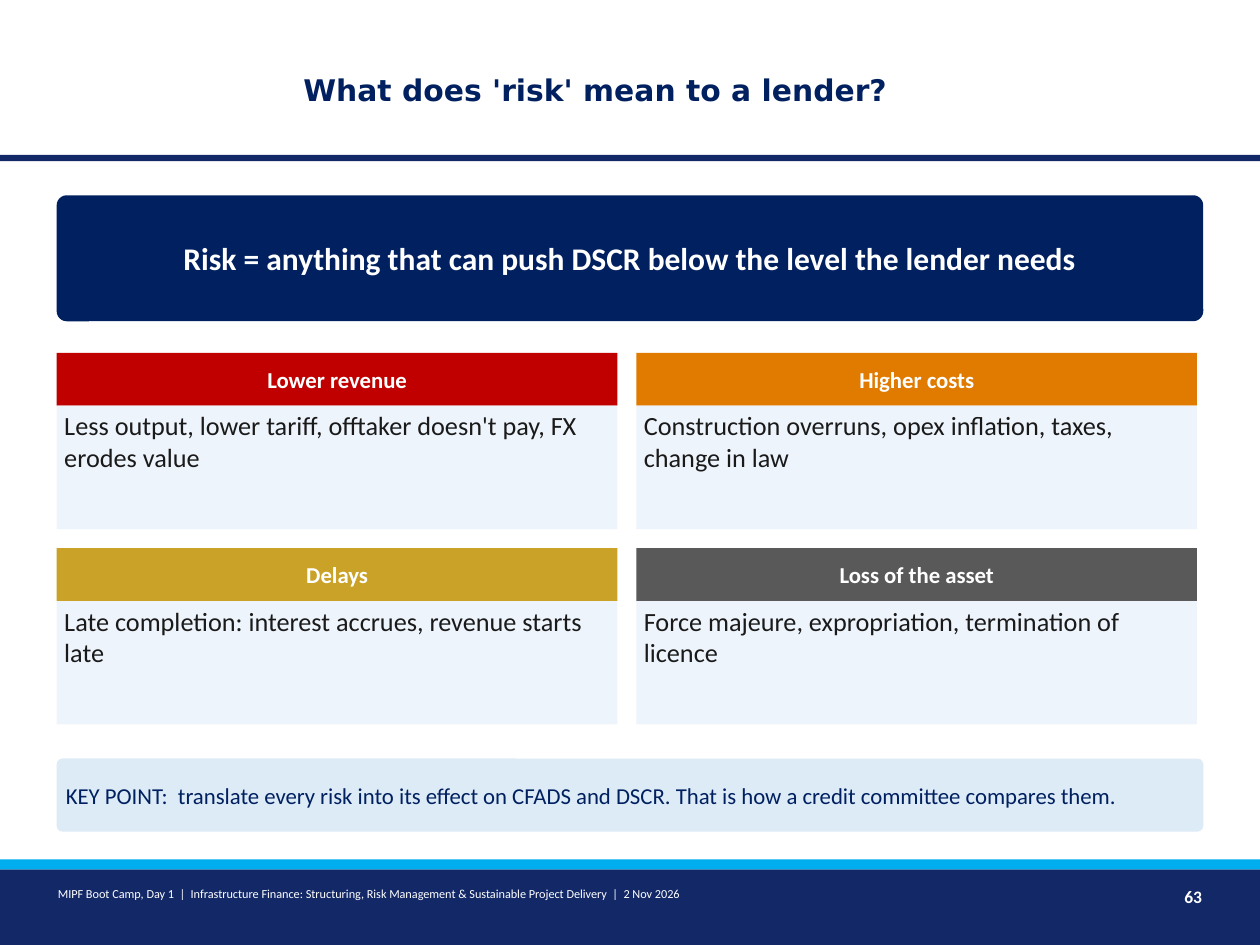
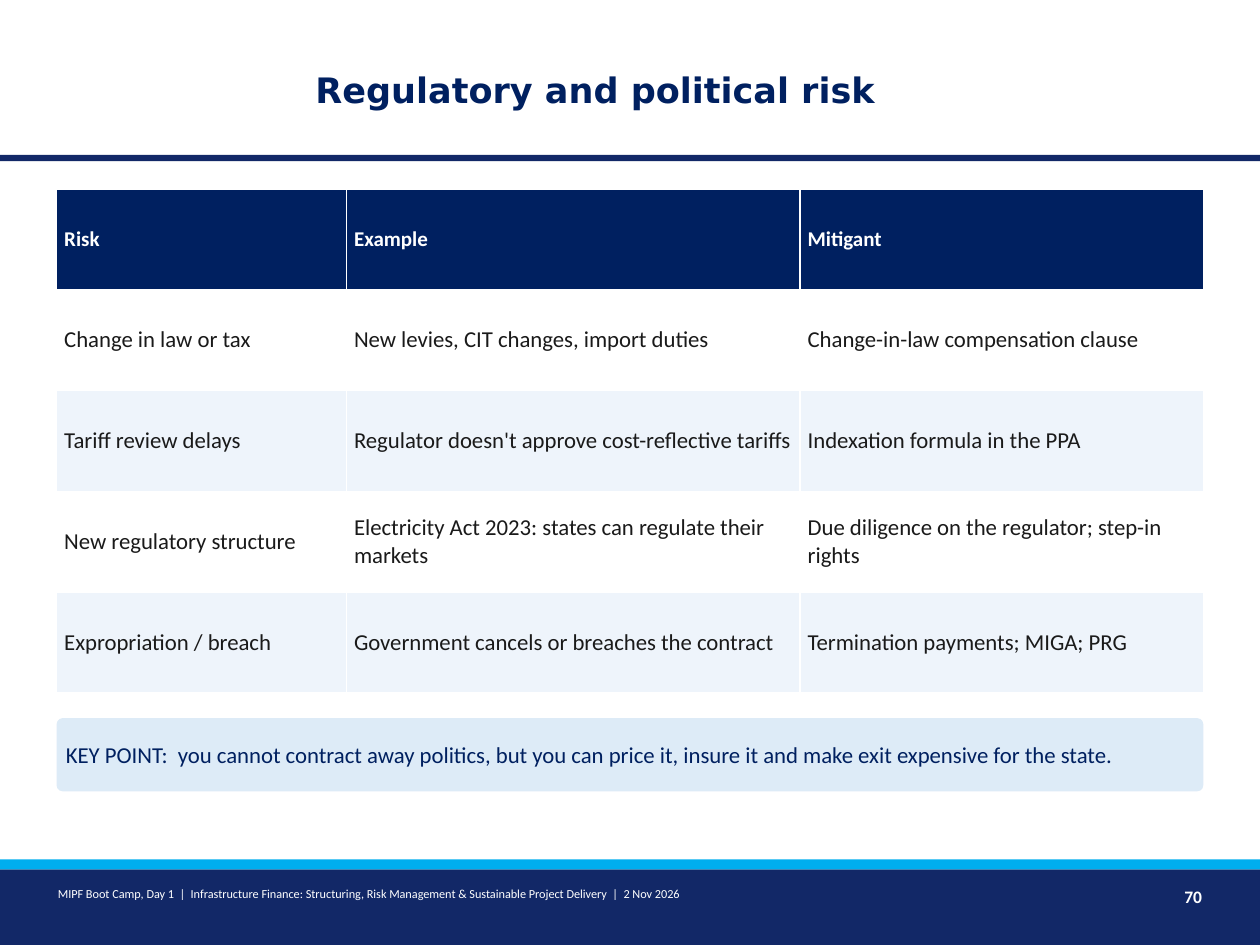
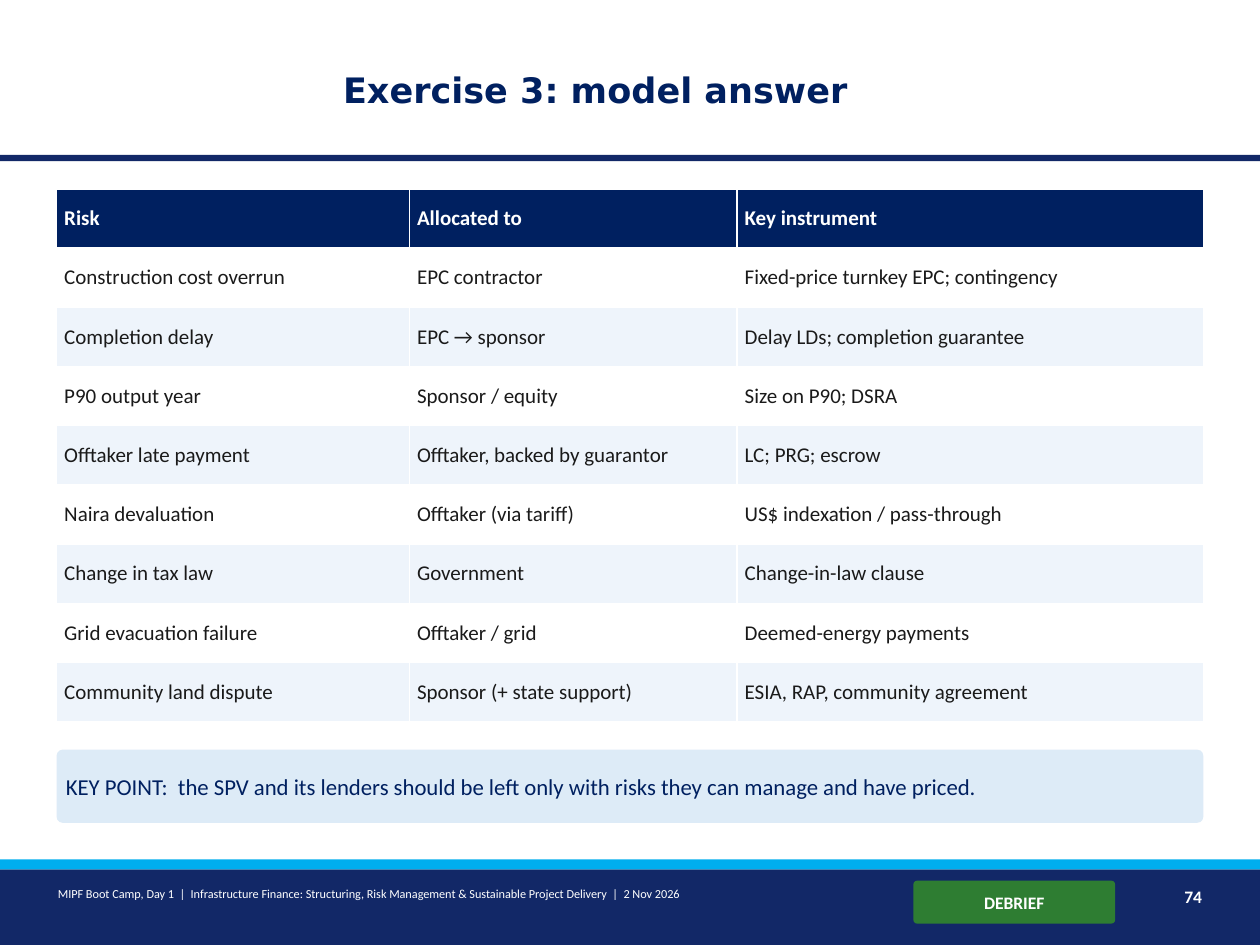
from pptx import Presentation
from pptx.dml.color import RGBColor
from pptx.enum import shapes, text
from pptx.util import Inches, Pt

WIDTH, HEIGHT = 10, 7.5
LEFT, CONTENT_WIDTH = 0.45, 9.1
NAVY, BAND, CYAN, WHITE = "002060", "122867", "00AEEF", "FFFFFF"
PALE, KEY_FILL, INK, GREEN = "EEF4FB", "DDEBF7", "1A1A1A", "2E7D32"
FOOTER = ("MIPF Boot Camp, Day 1  |  Infrastructure Finance: Structuring, "
          "Risk Management & Sustainable Project Delivery  |  2 Nov 2026")
RECTANGLE = shapes.MSO_SHAPE.RECTANGLE
ROUNDED = shapes.MSO_SHAPE.ROUNDED_RECTANGLE
LEFT_ALIGN, CENTER, RIGHT = text.PP_ALIGN.LEFT, text.PP_ALIGN.CENTER, text.PP_ALIGN.RIGHT
TOP, MIDDLE = text.MSO_ANCHOR.TOP, text.MSO_ANCHOR.MIDDLE


def write(frame, content, cell=None, size=13, color=WHITE, bold=False,
          align=LEFT_ALIGN, anchor=MIDDLE, font="Calibri"):
    """Fill a text frame; a table cell carries its own margins and anchor."""
    holder = cell or frame
    holder.margin_left = holder.margin_right = Inches(0.06)
    holder.margin_top = holder.margin_bottom = Inches(0.03)
    holder.vertical_anchor = anchor
    frame.word_wrap = True
    paragraph = frame.paragraphs[0]
    paragraph.alignment = align
    run = paragraph.add_run()
    run.text = content
    run.font.name, run.font.size, run.font.bold = font, Pt(size), bold
    run.font.color.rgb = RGBColor.from_string(color)


def add_box(slide, left, top, width, height, fill=None, kind=RECTANGLE, content="", **style):
    """Add a filled shape, or a plain text box when there is no fill."""
    place = [Inches(length) for length in (left, top, width, height)]
    if fill:
        shape = slide.shapes.add_shape(kind, *place)
        shape.shadow.inherit = False
        shape.fill.solid()
        shape.fill.fore_color.rgb = RGBColor.from_string(fill)
        shape.line.fill.background()
        if kind == ROUNDED:
            shape.adjustments[0] = 0.08
    else:
        shape = slide.shapes.add_textbox(*place)
    if content:
        write(shape.text_frame, content, **style)


presentation = Presentation()
presentation.slide_width, presentation.slide_height = Inches(WIDTH), Inches(HEIGHT)

# Title, bands, footer and key point of every slide
pages = [
    ("What does 'risk' mean to a lender?", 17, "63", 6.02,
     "translate every risk into its effect on CFADS and DSCR. "
     "That is how a credit committee compares them."),
    ("Regulatory and political risk", 20, "70", 5.7,
     "you cannot contract away politics, but you can price it, insure it "
     "and make exit expensive for the state."),
    ("Exercise 3: model answer", 20, "74", 5.95,
     "the SPV and its lenders should be left only with risks they can manage and have priced."),
]
slides = []
for title, title_size, number, key_top, key_point in pages:
    slide = presentation.slides.add_slide(presentation.slide_layouts[6])
    for top, height, fill in [(1.23, 0.05, BAND), (6.9, 0.6, BAND), (6.82, 0.08, CYAN)]:
        add_box(slide, 0, top, WIDTH, height, fill)
    add_box(slide, 2.3, 0.22, 4.85, 0.98, content=title, size=title_size,
            color=NAVY, bold=True, align=CENTER, font="DejaVu Sans")
    add_box(slide, 0.4, 7, 6.8, 0.35, content=FOOTER, size=7, anchor=TOP)
    add_box(slide, 9, 7, 0.6, 0.35, content=number, size=10, bold=True,
            align=RIGHT, anchor=TOP)
    add_box(slide, LEFT, key_top, CONTENT_WIDTH, 0.58, KEY_FILL, ROUNDED,
            "KEY POINT:  " + key_point, color=NAVY)
    slides.append(slide)
risk_slide, regulation_slide, answer_slide = slides

# Definition of risk and its four sources, in a two by two grid
add_box(risk_slide, LEFT, 1.55, CONTENT_WIDTH, 1, NAVY, ROUNDED,
        "Risk = anything that can push DSCR below the level the lender needs",
        size=18, bold=True, align=CENTER)
sources = [
    ("Lower revenue", "C00000",
     "Less output, lower tariff, offtaker doesn't pay, FX erodes value"),
    ("Higher costs", "E07B00", "Construction overruns, opex inflation, taxes, change in law"),
    ("Delays", "C9A227", "Late completion: interest accrues, revenue starts late"),
    ("Loss of the asset", "595959", "Force majeure, expropriation, termination of licence"),
]
card_width, header_height, body_height, gap = 4.45, 0.42, 0.98, 0.15
for index, (heading, fill, detail) in enumerate(sources):
    row, column = divmod(index, 2)
    left = LEFT + column * (card_width + gap)
    top = 2.8 + row * (header_height + body_height + gap)
    add_box(risk_slide, left, top, card_width, header_height, fill,
            content=heading, bold=True, align=CENTER)
    add_box(risk_slide, left, top + header_height, card_width, body_height, PALE,
            content=detail, size=15, color=INK, anchor=TOP)

# Risk tables
regulation_rows = [
    ("Risk", "Example", "Mitigant"),
    ("Change in law or tax", "New levies, CIT changes, import duties",
     "Change-in-law compensation clause"),
    ("Tariff review delays", "Regulator doesn't approve cost-reflective tariffs",
     "Indexation formula in the PPA"),
    ("New regulatory structure", "Electricity Act 2023: states can regulate their markets",
     "Due diligence on the regulator; step-in rights"),
    ("Expropriation / breach", "Government cancels or breaches the contract",
     "Termination payments; MIGA; PRG"),
]
answer_rows = [
    ("Risk", "Allocated to", "Key instrument"),
    ("Construction cost overrun", "EPC contractor", "Fixed-price turnkey EPC; contingency"),
    ("Completion delay", "EPC → sponsor", "Delay LDs; completion guarantee"),
    ("P90 output year", "Sponsor / equity", "Size on P90; DSRA"),
    ("Offtaker late payment", "Offtaker, backed by guarantor", "LC; PRG; escrow"),
    ("Naira devaluation", "Offtaker (via tariff)", "US$ indexation / pass-through"),
    ("Change in tax law", "Government", "Change-in-law clause"),
    ("Grid evacuation failure", "Offtaker / grid", "Deemed-energy payments"),
    ("Community land dispute", "Sponsor (+ state support)", "ESIA, RAP, community agreement"),
]
tables = [
    (regulation_slide, regulation_rows, (2.3, 3.6, 3.2), 0.8, 13),
    (answer_slide, answer_rows, (2.8, 2.6, 3.7), 0.47, 12),
]
for slide, rows, column_widths, row_height, body_size in tables:
    table = slide.shapes.add_table(
        len(rows), len(column_widths), Inches(LEFT), Inches(1.5),
        Inches(CONTENT_WIDTH), Inches(row_height * len(rows))).table
    for column, width in zip(table.columns, column_widths):
        column.width = Inches(width)
    for row_index, row in enumerate(rows):
        table.rows[row_index].height = Inches(row_height)
        header = row_index == 0
        fill = NAVY if header else (WHITE, PALE)[(row_index - 1) % 2]
        for column_index, content in enumerate(row):
            cell = table.cell(row_index, column_index)
            cell.fill.solid()
            cell.fill.fore_color.rgb = RGBColor.from_string(fill)
            write(cell.text_frame, content, cell, size=12 if header else body_size,
                  color=WHITE if header else INK, bold=header)

add_box(answer_slide, 7.25, 6.99, 1.6, 0.34, GREEN, ROUNDED, "DEBRIEF",
        size=10, bold=True, align=CENTER)

presentation.save("out.pptx")
